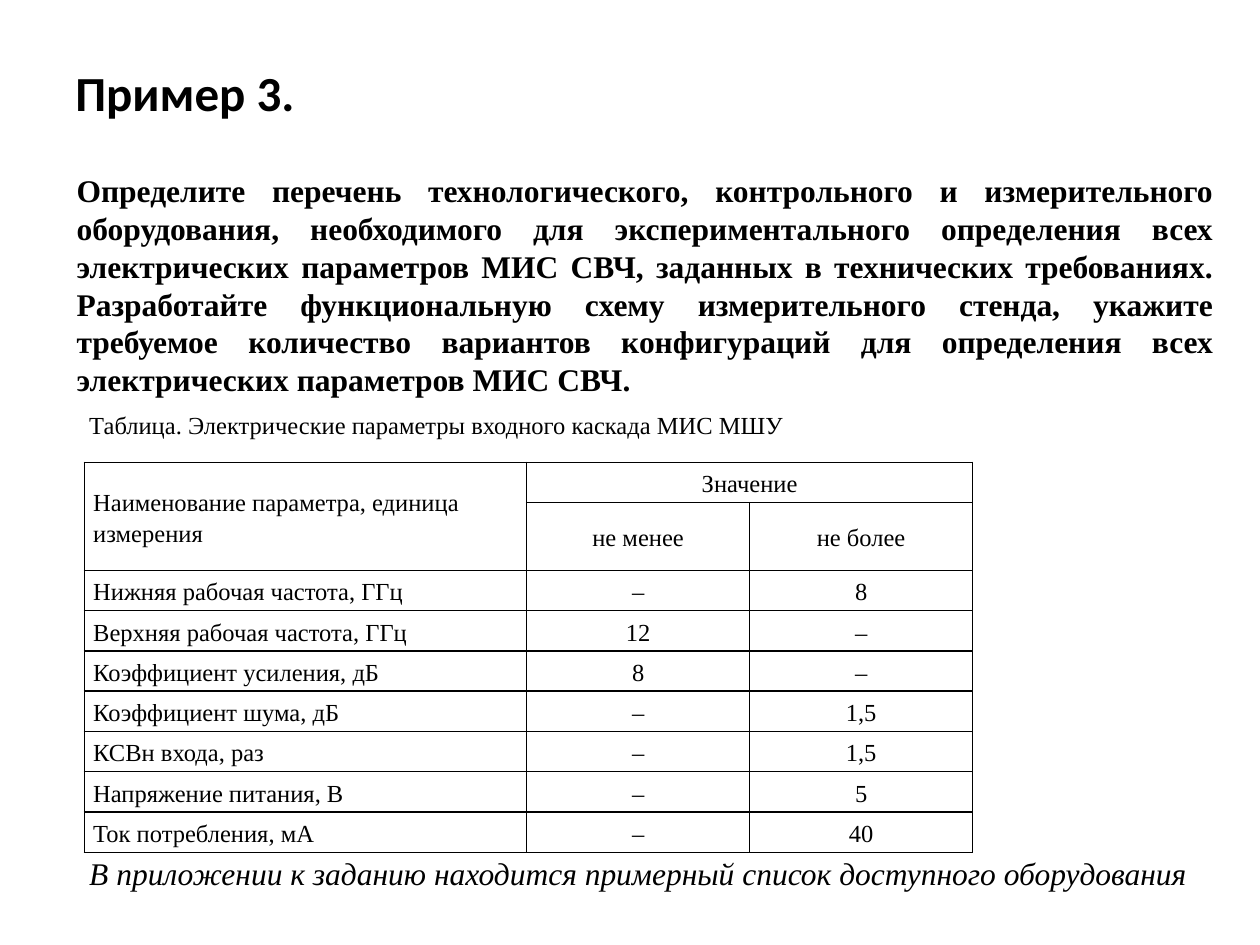
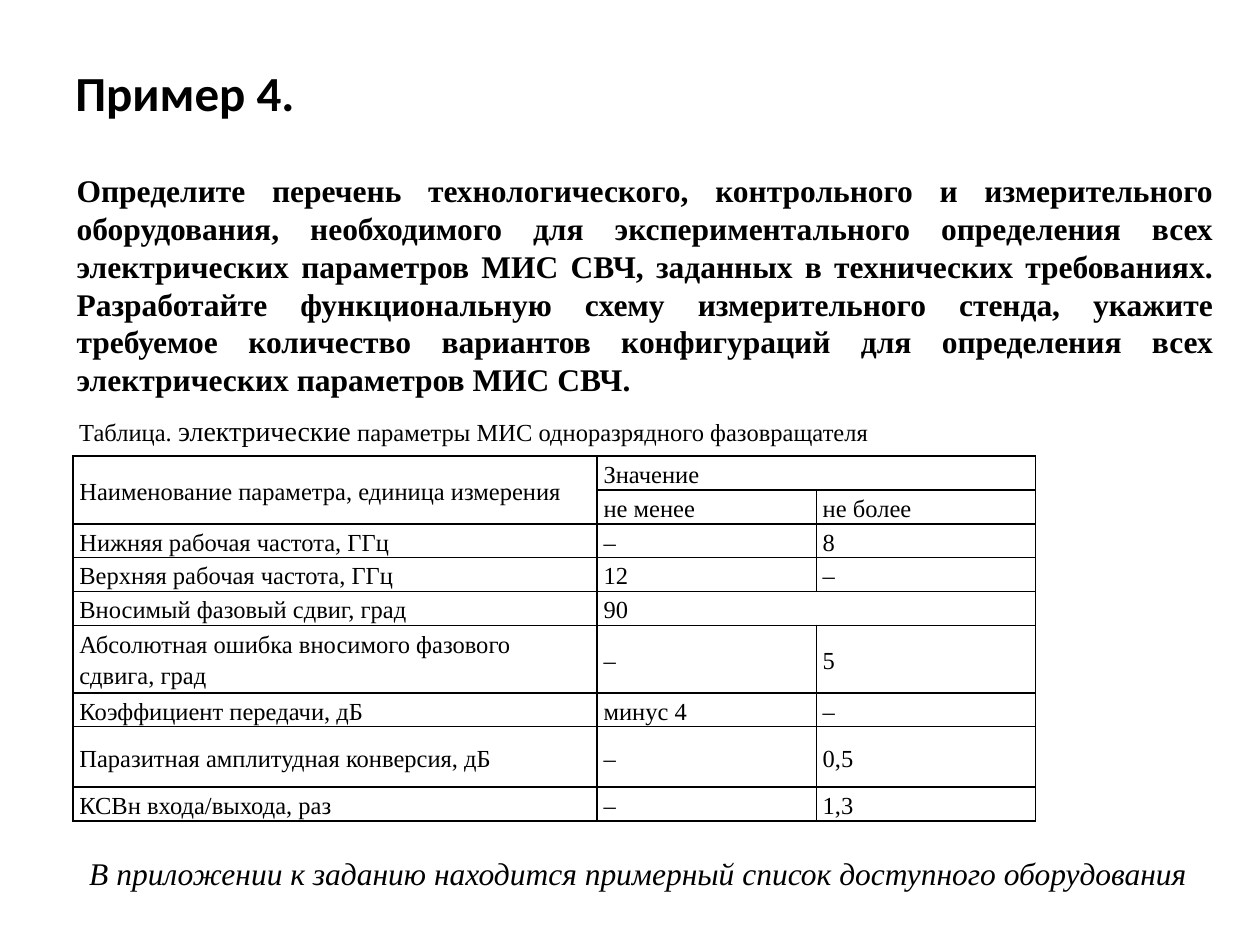
import pptx
import pptx.dml.color
import pptx.enum.text
import pptx.oxml
import pptx.oxml.ns
import pptx.util
from pptx.util import Inches

INK = "000000"
HEADING_FONT = "Calibri"
BODY_FONT = "Times New Roman"
LINE_SPACING = 1.15
ALIGN = pptx.enum.text.PP_ALIGN
MIDDLE = pptx.enum.text.MSO_ANCHOR.MIDDLE

TASK = (
    "Определите перечень технологического, контрольного и измерительного оборудования, "
    "необходимого для экспериментального определения всех электрических параметров МИС СВЧ, "
    "заданных в технических требованиях. Разработайте функциональную схему измерительного стенда, "
    "укажите требуемое количество вариантов конфигураций для определения всех электрических "
    "параметров МИС СВЧ."
)
APPENDIX_NOTE = "В приложении к заданию находится примерный список доступного оборудования"

# In the parameter rows None continues the cell to the left,
# or the cell above when it stands in the first column.
HEADER = [
    ("Наименование параметра, единица измерения", "Значение", None),
    (None, "не менее", "не более"),
    ("Нижняя рабочая частота, ГГц", "–", "8"),
    ("Верхняя рабочая частота, ГГц", "12", "–"),
]

EXAMPLES = [
    {
        "title": "Пример 3.",
        "caption": [("Таблица. Электрические параметры входного каскада МИС МШУ", 14)],
        "caption_box": (0.61, 3.2, 7.09, 0.34),
        "table_corner": (0.67, 3.67),
        "columns": (3.51, 1.77, 1.77),
        "row_heights": [0.32, 0.34] + [0.32] * 7,
        "side_margin": 0.07,
        "value_align": ALIGN.CENTER,
        "parameters": HEADER + [
            ("Коэффициент усиления, дБ", "8", "–"),
            ("Коэффициент шума, дБ", "–", "1,5"),
            ("КСВн входа, раз", "–", "1,5"),
            ("Напряжение питания, В", "–", "5"),
            ("Ток потребления, мА", "–", "40"),
        ],
    },
    {
        "title": "Пример 4.",
        "caption": [
            ("Таблица. ", 14),
            ("электрические", 16),
            (" параметры МИС одноразрядного фазовращателя", 14),
        ],
        "caption_box": (0.53, 3.23, 7.69, 0.37),
        "table_corner": (0.58, 3.62),
        "columns": (4.16, 1.74, 1.74),
        "row_heights": [0.24] * 5 + [0.48, 0.24, 0.48, 0.24],
        "side_margin": 0.05,
        "value_align": ALIGN.LEFT,
        "parameters": HEADER + [
            ("Вносимый фазовый сдвиг, град", "90", None),
            ("Абсолютная ошибка вносимого фазового сдвига, град", "–", "5"),
            ("Коэффициент передачи, дБ", "минус 4", "–"),
            ("Паразитная амплитудная конверсия, дБ", "–", "0,5"),
            ("КСВн входа/выхода, раз", "–", "1,3"),
        ],
    },
]


def color(hex_value):
    return pptx.dml.color.RGBColor.from_string(hex_value)


def format_run(run, size, font=BODY_FONT, bold=False, italic=False):
    run.font.name = font
    run.font.size = pptx.util.Pt(size)
    run.font.bold = bold
    run.font.italic = italic
    run.font.color.rgb = color(INK)


def add_text(slide, box, pieces, anchor=None, grow=True, **run_format):
    """Add a one-paragraph text box from (text, size) pieces; return the paragraph."""
    frame = slide.shapes.add_textbox(*map(Inches, box)).text_frame
    frame.word_wrap = True
    if grow:
        frame.auto_size = pptx.enum.text.MSO_AUTO_SIZE.SHAPE_TO_FIT_TEXT
    if anchor is not None:
        frame.vertical_anchor = anchor
    paragraph = frame.paragraphs[0]
    for text, size in pieces:
        run = paragraph.add_run()
        run.text = text
        format_run(run, size, **run_format)
    return paragraph


def draw_borders(cell):
    """Outline a cell; the lines must precede the fill in its properties."""
    properties = cell._tc.get_or_add_tcPr()
    for position, side in enumerate(("lnL", "lnR", "lnT", "lnB")):
        properties.insert(position, pptx.oxml.parse_xml(
            f'<a:{side} {pptx.oxml.ns.nsdecls("a")} w="{pptx.util.Pt(1)}">'
            f'<a:solidFill><a:srgbClr val="{INK}"/></a:solidFill></a:{side}>'
        ))


def fill_cell(cell, text, align, side_margin):
    cell.fill.background()
    draw_borders(cell)
    cell.vertical_anchor = MIDDLE
    cell.margin_left = cell.margin_right = Inches(side_margin)
    cell.margin_top = cell.margin_bottom = 0
    if text is None:
        return
    cell.text_frame.text = text
    paragraph = cell.text_frame.paragraphs[0]
    paragraph.alignment = align
    paragraph.line_spacing = LINE_SPACING
    format_run(paragraph.runs[0], 14)


def add_parameter_table(slide, example):
    parameters = example["parameters"]
    columns, heights = example["columns"], example["row_heights"]
    table = slide.shapes.add_table(
        len(parameters), len(columns), *map(Inches, example["table_corner"]),
        Inches(sum(columns)), Inches(sum(heights)),
    ).table
    table.first_row = table.horz_banding = False
    for column, width in zip(table.columns, columns):
        column.width = Inches(width)
    for row, height in zip(table.rows, heights):
        row.height = Inches(height)

    for r, values in enumerate(parameters):
        for c, text in enumerate(values):
            align = example["value_align"] if c else ALIGN.LEFT
            fill_cell(table.cell(r, c), text, align, example["side_margin"])
            if text is None:
                start = table.cell(r, c - 1) if c else table.cell(r - 1, c)
                start.merge(table.cell(r, c))


def add_example(presentation, example):
    slide = presentation.slides.add_slide(presentation.slide_layouts[6])
    add_text(slide, (0.5, 0.46, 9, 0.54), [(example["title"], 28)],
             anchor=MIDDLE, grow=False, font=HEADING_FONT, bold=True)
    task = add_text(slide, (0.51, 1.31, 9.22, 1.92), [(TASK, 18)], bold=True)
    task.alignment = ALIGN.JUSTIFY
    add_parameter_table(slide, example)
    add_text(slide, example["caption_box"], example["caption"], anchor=MIDDLE)
    note = add_text(slide, (0.61, 6.68, 9.19, 0.42), [(APPENDIX_NOTE, 18)], italic=True)
    note.line_spacing = LINE_SPACING
    note.space_after = pptx.util.Pt(10)


def main():
    presentation = pptx.Presentation()
    presentation.slide_width = Inches(10)
    presentation.slide_height = Inches(7.5)
    for example in EXAMPLES:
        add_example(presentation, example)
    presentation.save("out.pptx")


if __name__ == "__main__":
    main()
